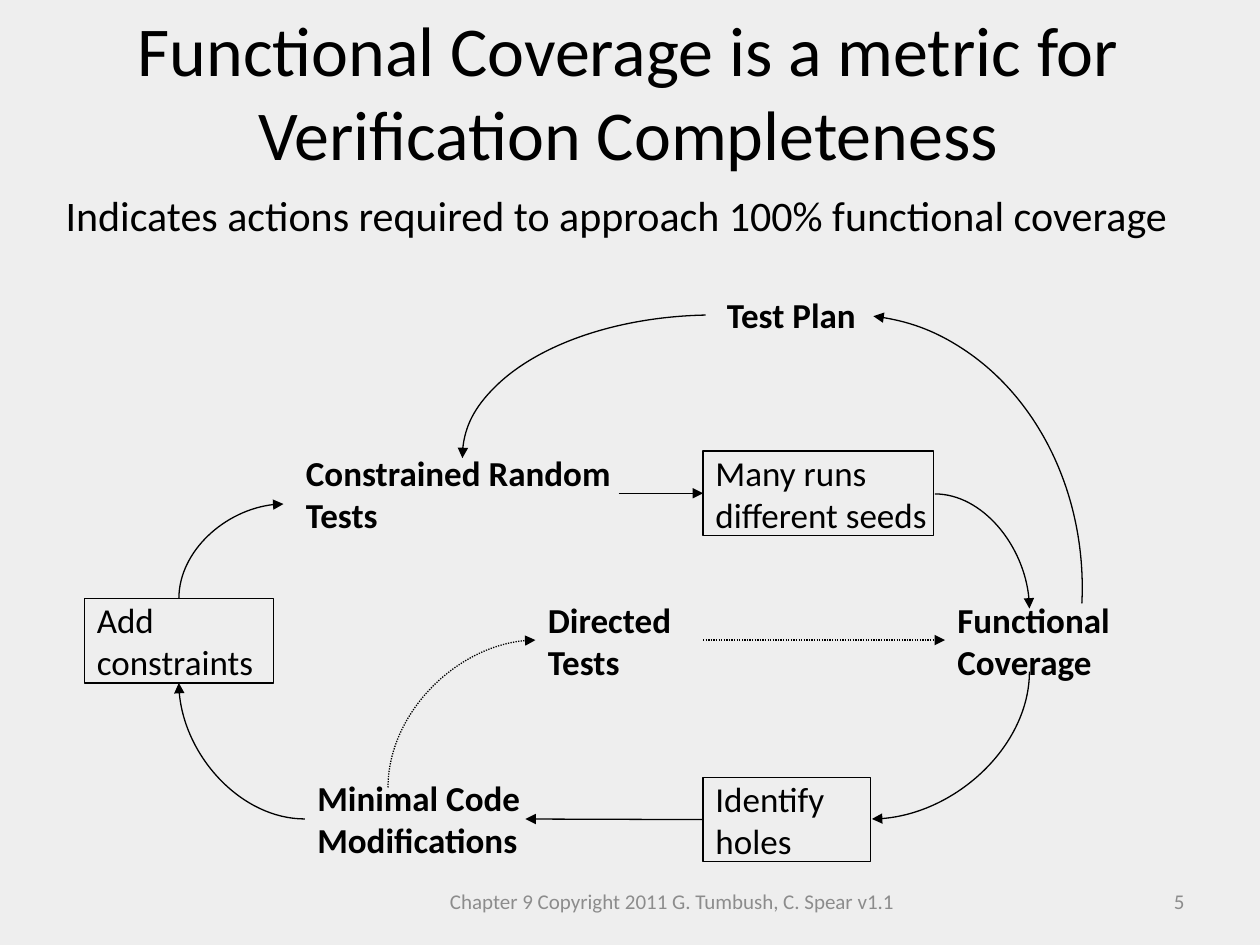
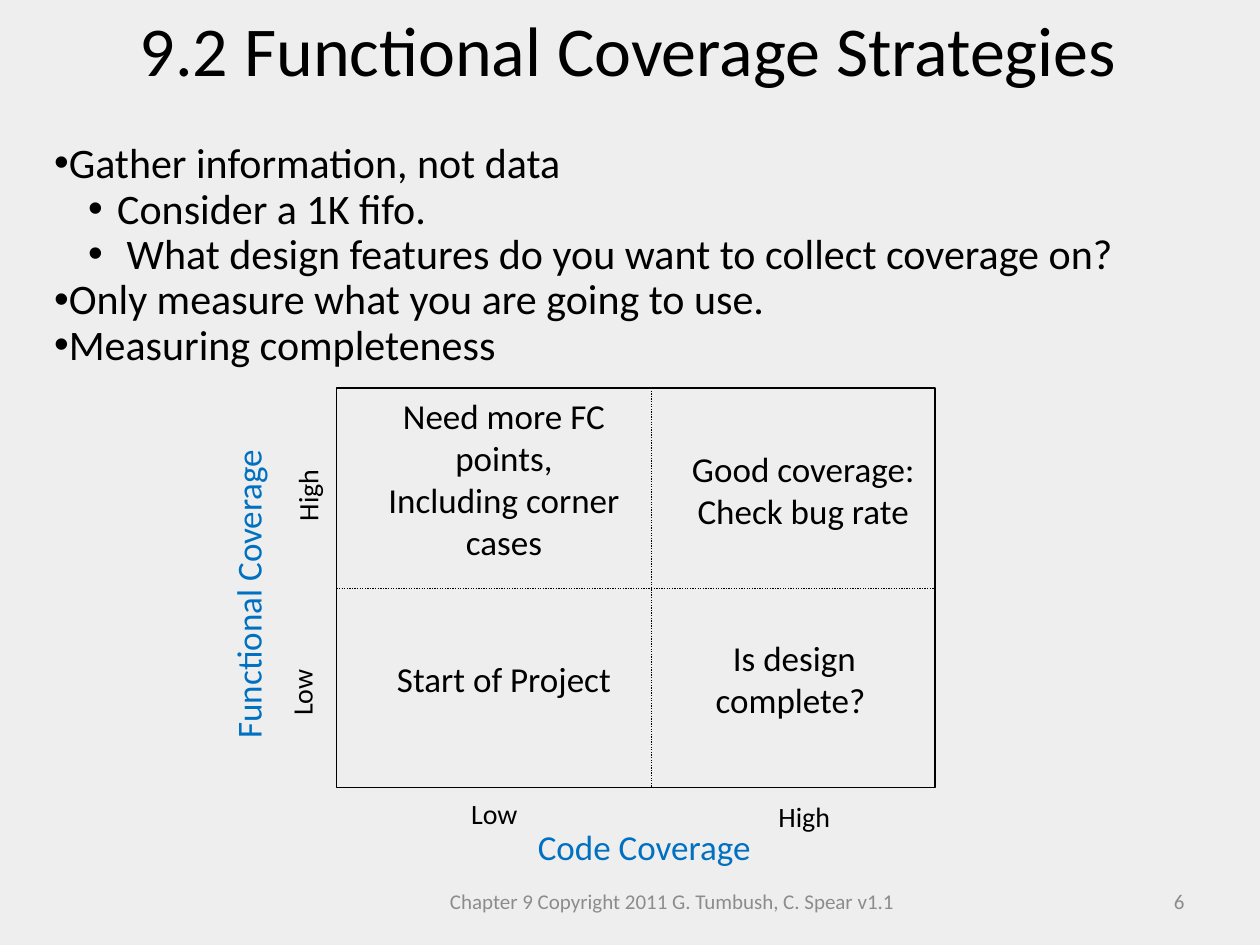
import dataclasses
import typing

import lxml.etree
import pptx
import pptx.dml.color
import pptx.enum.dml
import pptx.enum.shapes
import pptx.enum.text
import pptx.oxml.ns
import pptx.util

Inches = pptx.util.Inches
Align = pptx.enum.text.PP_ALIGN
Anchor = pptx.enum.text.MSO_ANCHOR
Preset = pptx.enum.shapes.MSO_SHAPE
Straight = pptx.enum.shapes.MSO_CONNECTOR.STRAIGHT
Curve = pptx.enum.shapes.MSO_CONNECTOR.CURVE
Box = tuple[float, float, float, float]
Point = tuple[float, float]

FONT = "Calibri"
BLACK = "000000"
GREY = "8C8C8C"
BLUE = "0070C0"
BACKGROUND = "EEEEEE"
LINE_WIDTH = pptx.util.Pt(0.75)
FOOTER = "Chapter 9 Copyright 2011 G. Tumbush, C. Spear v1.1"


@dataclasses.dataclass(frozen=True)
class TextStyle:
    size: int = 20
    color: str = BLACK
    bold: bool = False
    align: Align = Align.LEFT
    anchor: Anchor = Anchor.TOP
    wrap: bool = True
    rotation: int = 0


@dataclasses.dataclass(frozen=True)
class Step:
    name: str
    lines: tuple[str, ...]
    box: Box
    outlined: bool = False


@dataclasses.dataclass(frozen=True)
class Link:
    source: str
    target: str
    source_side: int
    target_side: int
    dotted: bool = False


@dataclasses.dataclass(frozen=True)
class Bend:
    start: Point
    end: Point
    starts_vertical: bool = False
    dotted: bool = False


@dataclasses.dataclass(frozen=True)
class Arc:
    box: Box
    start_degrees: float
    end_degrees: float


@dataclasses.dataclass(frozen=True)
class Label:
    lines: tuple[str, ...]
    box: Box
    style: TextStyle


TITLE = TextStyle(size=40, align=Align.CENTER)
BODY = TextStyle(size=24)
FOOTER_STYLE = TextStyle(12, GREY, align=Align.CENTER, anchor=Anchor.MIDDLE)
NUMBER_STYLE = dataclasses.replace(FOOTER_STYLE, align=Align.RIGHT)
STEP_STYLE = TextStyle(anchor=Anchor.MIDDLE, wrap=False)
QUADRANT = TextStyle(align=Align.CENTER)
AXIS = TextStyle(color=BLUE, wrap=False)
SCALE = TextStyle(size=16, wrap=False)
AXIS_UP = dataclasses.replace(AXIS, rotation=270)
SCALE_UP = dataclasses.replace(SCALE, rotation=270)

STEPS = (
    Step("add", ("Add", "constraints"), (0.67, 4.75, 1.5, 0.67), True),
    Step("runs", ("Many runs", "different seeds"), (5.58, 3.58, 1.83, 0.67), True),
    Step("holes", ("Identify", "holes"), (5.58, 6.17, 1.33, 0.67), True),
    Step("coverage", ("Functional", "Coverage"), (7.5, 4.83, 1.33, 0.5)),
    Step("random", ("Constrained Random", "Tests"), (2.33, 3.58, 2.58, 0.67)),
    Step("changes", ("Minimal Code", "Modifications"), (2.42, 6.25, 1.33, 0.5)),
    Step("directed", ("Directed", "Tests"), (4.25, 4.83, 1.33, 0.5)),
    Step("plan", ("Test Plan",), (5.67, 2.25, 1.33, 0.5)),
)
LINKS = (
    Link("random", "runs", 3, 1),
    Link("directed", "coverage", 3, 1, dotted=True),
)
BENDS = (
    Bend((1.42, 4.75), (2.25, 4), starts_vertical=True),
    Bend((7.42, 3.92), (8.17, 4.83)),
    Bend((8.17, 5.33), (6.92, 6.5), starts_vertical=True),
    Bend((3.08, 6.25), (4.25, 5.08), starts_vertical=True, dotted=True),
    Bend((2.42, 6.5), (1.42, 5.42)),
)
ARCS = (
    Arc((4.92, 2.5, 3.67, 4.33), 274.7, 3.89),
    Arc((3.67, 2.5, 4, 2.25), 179.67, 266.48),
)
STRATEGIES = (
    ("Gather information, not data", 0),
    ("Consider a 1K fifo.", 1),
    (" What design features do you want to collect coverage on?", 1),
    ("Only measure what you are going to use.", 0),
    ("Measuring completeness", 0),
)
QUADRANTS = (
    Label(("Need more FC points,", "Including corner cases"), (2.75, 3.08, 2.5, 1.45), QUADRANT),
    Label(("Good coverage:", "Check bug rate"), (5.25, 3.5, 2.25, 0.77), QUADRANT),
    Label(("Start of Project",), (2.75, 5.17, 2.5, 0.44), QUADRANT),
    Label(("Is design complete? ",), (5.17, 5, 2.27, 0.77), QUADRANT),
)
AXIS_LABELS = (
    Label(("Code Coverage",), (4.17, 6.5, 1.9, 0.44), AXIS),
    Label(("Functional Coverage",), (0.71, 4.48, 2.52, 0.44), AXIS_UP),
    Label(("Low",), (3.64, 6.27, 0.61, 0.37), SCALE),
    Label(("High",), (6.08, 6.3, 0.66, 0.37), SCALE),
    Label(("High",), (2.11, 3.72, 0.66, 0.37), SCALE_UP),
    Label(("Low",), (2.09, 5.29, 0.61, 0.37), SCALE_UP),
)


def rgb(color: str) -> pptx.dml.color.RGBColor:
    return pptx.dml.color.RGBColor.from_string(color)


def add_xml(parent: typing.Any, tag: str, **attributes: str) -> None:
    lxml.etree.SubElement(parent, pptx.oxml.ns.qn(tag), attributes)


def place(shape: typing.Any, box: Box) -> None:
    shape.left, shape.top, shape.width, shape.height = map(Inches, box)


def write(shape: typing.Any, lines: typing.Iterable[str], style: TextStyle) -> None:
    frame = shape.text_frame
    frame.text = "\n".join(lines)
    frame.word_wrap = style.wrap
    frame.auto_size = pptx.enum.text.MSO_AUTO_SIZE.NONE
    frame.vertical_anchor = style.anchor
    for paragraph in frame.paragraphs:
        paragraph.alignment = style.align
        paragraph.font.name = FONT
        paragraph.font.size = pptx.util.Pt(style.size)
        paragraph.font.bold = style.bold
        paragraph.font.color.rgb = rgb(style.color)


def add_label(shapes: typing.Any, label: Label) -> None:
    text_box = shapes.add_textbox(*map(Inches, label.box))
    text_box.rotation = label.style.rotation
    write(text_box, label.lines, label.style)


def add_outline(shapes: typing.Any, preset: Preset, box: Box, outlined: bool = True) -> typing.Any:
    shape = shapes.add_shape(preset, *map(Inches, box))
    shape.shadow.inherit = False
    shape.fill.background()
    if outlined:
        shape.line.color.rgb = rgb(BLACK)
        shape.line.width = LINE_WIDTH
    else:
        shape.line.fill.background()
    return shape


def add_line(shapes: typing.Any, kind: typing.Any, start: Point, end: Point,
             dotted: bool = False, arrow: bool = True) -> typing.Any:
    connector = shapes.add_connector(kind, *map(Inches, start + end))
    connector.line.color.rgb = rgb(BLACK)
    connector.line.width = LINE_WIDTH
    if dotted:
        connector.line.dash_style = pptx.enum.dml.MSO_LINE.ROUND_DOT
    if arrow:
        add_xml(connector.line._get_or_add_ln(), "a:tailEnd", type="triangle")
    add_xml(connector._element.spPr, "a:effectLst")
    return connector


def add_bend(shapes: typing.Any, bend: Bend) -> None:
    connector = add_line(shapes, Curve, bend.start, bend.end, bend.dotted)
    properties = connector._element.spPr
    properties.find(pptx.oxml.ns.qn("a:prstGeom")).set("prst", "curvedConnector2")
    if not bend.starts_vertical:
        return
    (x1, y1), (x2, y2) = bend.start, bend.end
    across, down = x2 - x1, y2 - y1
    width, height = abs(down), abs(across)
    place(connector, ((x1 + x2 - width) / 2, (y1 + y2 - height) / 2, width, height))
    transform = properties.find(pptx.oxml.ns.qn("a:xfrm"))
    transform.set("rot", str((90 if down > 0 else 270) * 60000))
    transform.set("flipH", "0")
    transform.set("flipV", "1" if across * down > 0 else "0")


def add_arc(shapes: typing.Any, arc: Arc) -> None:
    shape = add_outline(shapes, Preset.ARC, arc.box)
    shape.adjustments[0] = arc.start_degrees * 0.6
    shape.adjustments[1] = arc.end_degrees * 0.6
    add_xml(shape.line._get_or_add_ln(), "a:headEnd", type="triangle")


def add_slide(presentation: typing.Any, number: int, title: str, title_height: float,
              body_lines: typing.Iterable[str], body_box: Box) -> typing.Any:
    slide = presentation.slides.add_slide(presentation.slide_layouts[1])
    place(slide.shapes.title, (0.33, 0, 9.31, title_height))
    write(slide.shapes.title, (title,), TITLE)
    body = slide.placeholders[1]
    place(body, body_box)
    write(body, body_lines, BODY)
    for paragraph in body.text_frame.paragraphs:
        paragraph.line_spacing = 0.9
        paragraph.space_before = pptx.util.Pt(0)
    add_label(slide.shapes, Label((FOOTER,), (3.42, 6.95, 3.83, 0.4), FOOTER_STYLE))
    add_label(slide.shapes, Label((str(number),), (7.17, 6.95, 2.33, 0.4), NUMBER_STYLE))
    return slide


def set_bullet(paragraph: typing.Any, margin: float, indent: float, character: str = "") -> None:
    properties = paragraph._p.get_or_add_pPr()
    properties.set("marL", str(Inches(margin)))
    properties.set("indent", str(Inches(indent)))
    bullet = []
    if character:
        bullet = [("a:buFont", {"typeface": "Arial"}), ("a:buChar", {"char": character})]
    else:
        bullet = [("a:buNone", {})]
    defaults = properties.find(pptx.oxml.ns.qn("a:defRPr"))
    for tag, attributes in bullet:
        element = lxml.etree.Element(pptx.oxml.ns.qn(tag), attributes)
        defaults.addprevious(element)


def build_metric_slide(presentation: typing.Any) -> None:
    slide = add_slide(
        presentation, 5, "Functional Coverage is a metric for Verification Completeness", 1.45,
        ("Indicates actions required to approach 100% functional coverage",),
        (0.42, 1.5, 9.17, 0.46))
    set_bullet(slide.placeholders[1].text_frame.paragraphs[0], 0, 0)
    shapes = slide.shapes
    nodes = {}
    for step in STEPS:
        node = add_outline(shapes, Preset.FLOWCHART_PROCESS, step.box, step.outlined)
        write(node, step.lines, dataclasses.replace(STEP_STYLE, bold=not step.outlined))
        nodes[step.name] = node
    for link in LINKS:
        connector = add_line(shapes, Straight, (0, 0), (1, 1), link.dotted)
        connector.begin_connect(nodes[link.source], link.source_side)
        connector.end_connect(nodes[link.target], link.target_side)
    add_line(shapes, Straight, (5.58, 6.5), (4.17, 6.5)).begin_connect(nodes["holes"], 1)
    for bend in BENDS:
        add_bend(shapes, bend)
    for arc in ARCS:
        add_arc(shapes, arc)


def build_strategies_slide(presentation: typing.Any) -> None:
    slide = add_slide(presentation, 6, "9.2 Functional Coverage Strategies", 0.77,
                      (text for text, _ in STRATEGIES), (0.33, 1.08, 8.92, 2.28))
    for paragraph, (_, level) in zip(slide.placeholders[1].text_frame.paragraphs, STRATEGIES):
        paragraph.level = level
        set_bullet(paragraph, 0.5 * level, -0.23 * level, "•")
    for quadrant in QUADRANTS:
        add_label(slide.shapes, quadrant)
    matrix = slide.shapes.add_group_shape().shapes
    left, top, right, bottom = 2.67, 3.08, 7.42, 6.25
    add_line(matrix, Straight, (5.17, top), (5.17, bottom), dotted=True, arrow=False)
    add_line(matrix, Straight, (left, 4.67), (right, 4.67), dotted=True, arrow=False)
    add_outline(matrix, Preset.RECTANGLE, (left, top, right - left, bottom - top))
    for label in AXIS_LABELS:
        add_label(matrix, label)


def main() -> None:
    presentation = pptx.Presentation()
    presentation.slide_width = Inches(10)
    presentation.slide_height = Inches(7.5)
    fill = presentation.slide_master.background.fill
    fill.solid()
    fill.fore_color.rgb = rgb(BACKGROUND)
    build_metric_slide(presentation)
    build_strategies_slide(presentation)
    presentation.save("out.pptx")


if __name__ == "__main__":
    main()
